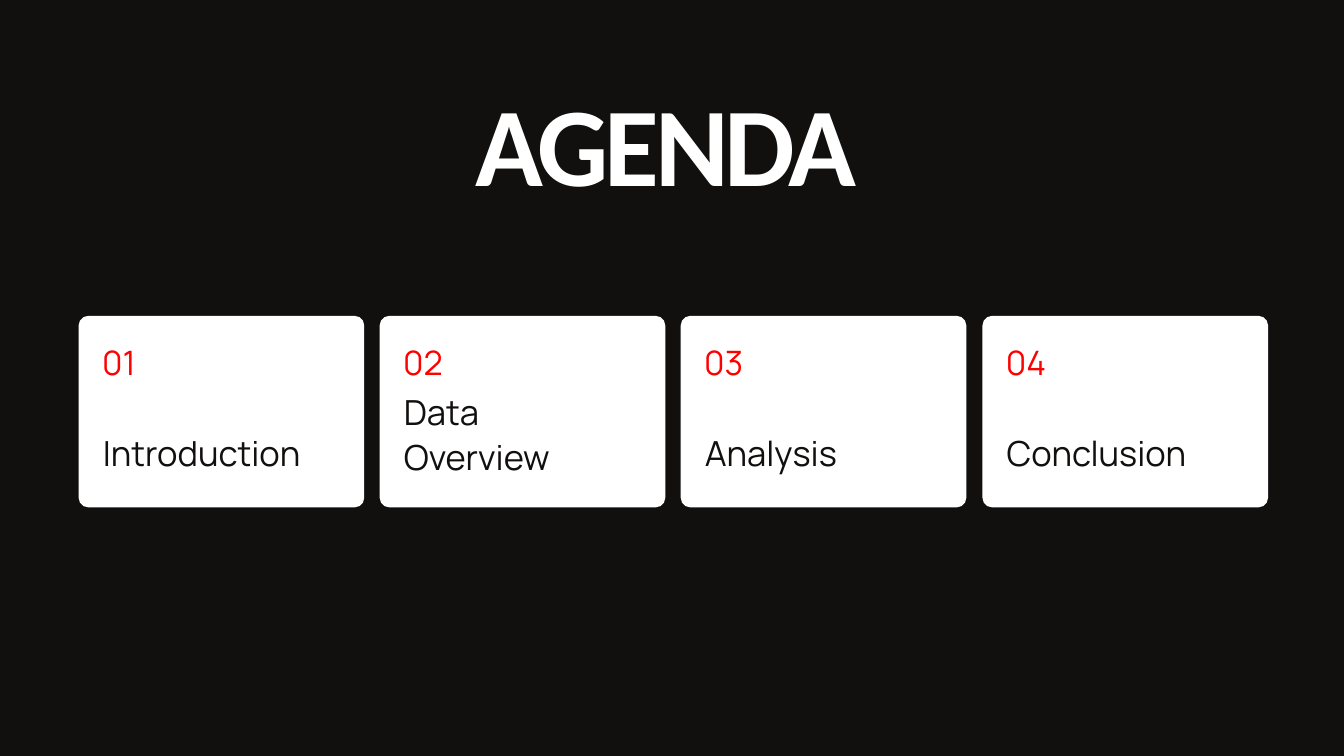
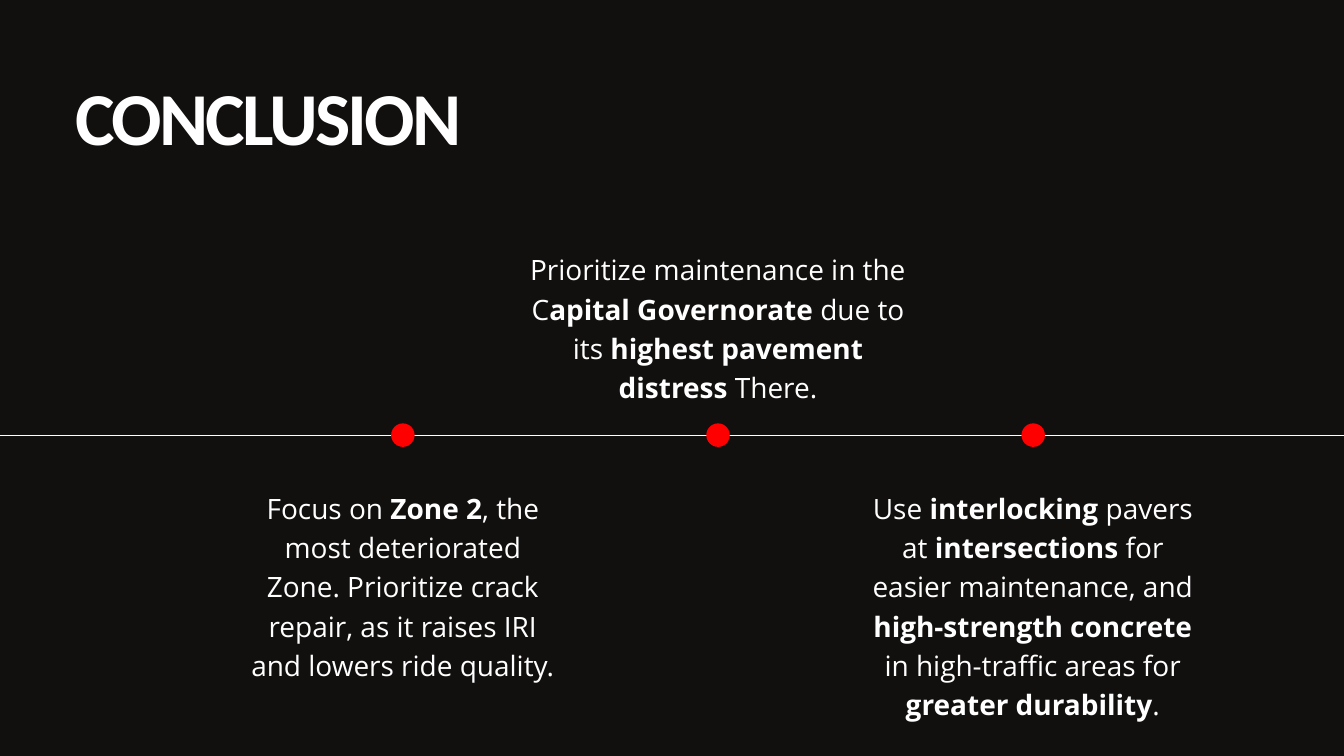
import pptx
import pptx.util
import pptx.dml.color
import pptx.enum.shapes
import pptx.enum.text
import lxml.etree

PX = 9144
BLACK, WHITE, RED = "12100F", "FFFFFF", "FF0000"
LEFT = pptx.enum.text.PP_ALIGN.LEFT
CENTER = pptx.enum.text.PP_ALIGN.CENTER
SHAPES = pptx.enum.shapes.MSO_SHAPE


def paint(target, color):
    if hasattr(target, "solid"):
        target.solid()
        target = target.fore_color
    target.rgb = pptx.dml.color.RGBColor.from_string(color)


def write(shape, box, runs, font, size, color, spacing, align=LEFT, tracking=0):
    shape.left, shape.top, shape.width, shape.height = [value * PX for value in box]
    frame = shape.text_frame
    frame.margin_left = frame.margin_top = frame.margin_right = frame.margin_bottom = 0
    frame.word_wrap = True
    frame.auto_size = pptx.enum.text.MSO_AUTO_SIZE.NONE
    frame.vertical_anchor = pptx.enum.text.MSO_ANCHOR.TOP
    paragraph = frame.paragraphs[0]
    paragraph.alignment = align
    paragraph.line_spacing = pptx.util.Pt(spacing)
    for text, bold in runs:
        run = paragraph.add_run()
        run.text = text
        run.font.name = font
        run.font.size = pptx.util.Pt(size)
        run.font.bold = bold
        paint(run.font.color, color)
        if tracking:
            run.font._element.set("spc", str(tracking))


presentation = pptx.Presentation()
presentation.slide_width = 2000 * PX
presentation.slide_height = 1125 * PX
paint(presentation.slide_master.background.fill, BLACK)
title_only = presentation.slide_layouts[5]

agenda = presentation.slides.add_slide(title_only)
write(agenda.shapes.title, (397, 111, 1188, 201), [("AGENDA", True)],
      "Calibri", 120, WHITE, 144, CENTER, -440)

cards = [("Introduction", 637, 71), ("Data Overview", 577, 138),
         ("Analysis", 637, 71), ("Conclusion", 637, 71)]
for index, (topic, topic_top, topic_height) in enumerate(cards):
    left = 117 + index * 1345 // 3
    card = agenda.shapes.add_shape(SHAPES.ROUNDED_RECTANGLE,
                                   left * PX, 470 * PX, 425 * PX, 285 * PX)
    card.adjustments[0] = 0.05
    card.shadow.inherit = False
    paint(card.fill, WHITE)
    card.line.fill.background()
    write(agenda.shapes.add_textbox(0, 0, 0, 0), (left + 36, topic_top, 297, topic_height),
          [(topic, False)], "Manrope", 37, BLACK, 48.1)
    write(agenda.shapes.add_textbox(0, 0, 0, 0), (left + 35, 491, 80, 77),
          [(f"{index + 1:02}", False)], "Manrope", 36, RED, 56.5)

conclusion = presentation.slides.add_slide(title_only)
write(conclusion.shapes.title, (112, 129, 1775, 116), [("CONCLUSION", True)],
      "Calibri", 80, WHITE, 79.2, LEFT, -300)

timeline = conclusion.shapes.add_connector(
    pptx.enum.shapes.MSO_CONNECTOR.STRAIGHT, 0, 648 * PX, 2000 * PX, 648 * PX)
paint(timeline.line.fill, WHITE)
timeline.line.width = pptx.util.Pt(1.5)
lxml.etree.SubElement(timeline._element.spPr, pptx.oxml.ns.qn("a:effectLst"))

for index in range(3):
    dot = conclusion.shapes.add_shape(SHAPES.OVAL, (582 + index * 469) * PX,
                                      630 * PX, 35 * PX, 35 * PX)
    dot.shadow.inherit = False
    paint(dot.fill, RED)
    dot.line.fill.background()

recommendations = [
    ((372, 723, 455, 290), [
        ("Focus on ", False), ("Zone 2", True),
        (", the most deteriorated Zone. Prioritize crack repair, "
         "as it raises IRI and lowers ride quality.", False)]),
    ((787, 368, 563, 231), [
        ("Prioritize maintenance in the C", False), ("apital Governorate", True),
        (" due to its ", False), ("highest pavement distress ", True), ("There.", False)]),
    ((1297, 723, 480, 348), [
        ("Use ", False), ("interlocking ", True), ("pavers at ", False),
        ("intersections ", True), ("for easier maintenance, and ", False),
        ("high-strength concrete ", True), ("in high-traffic areas for ", False),
        ("greater durability", True), (".", False)]),
]
for box, runs in recommendations:
    write(conclusion.shapes.add_textbox(0, 0, 0, 0), box, runs,
          "Open Sans", 30, WHITE, 42, CENTER)

presentation.save("out.pptx")
